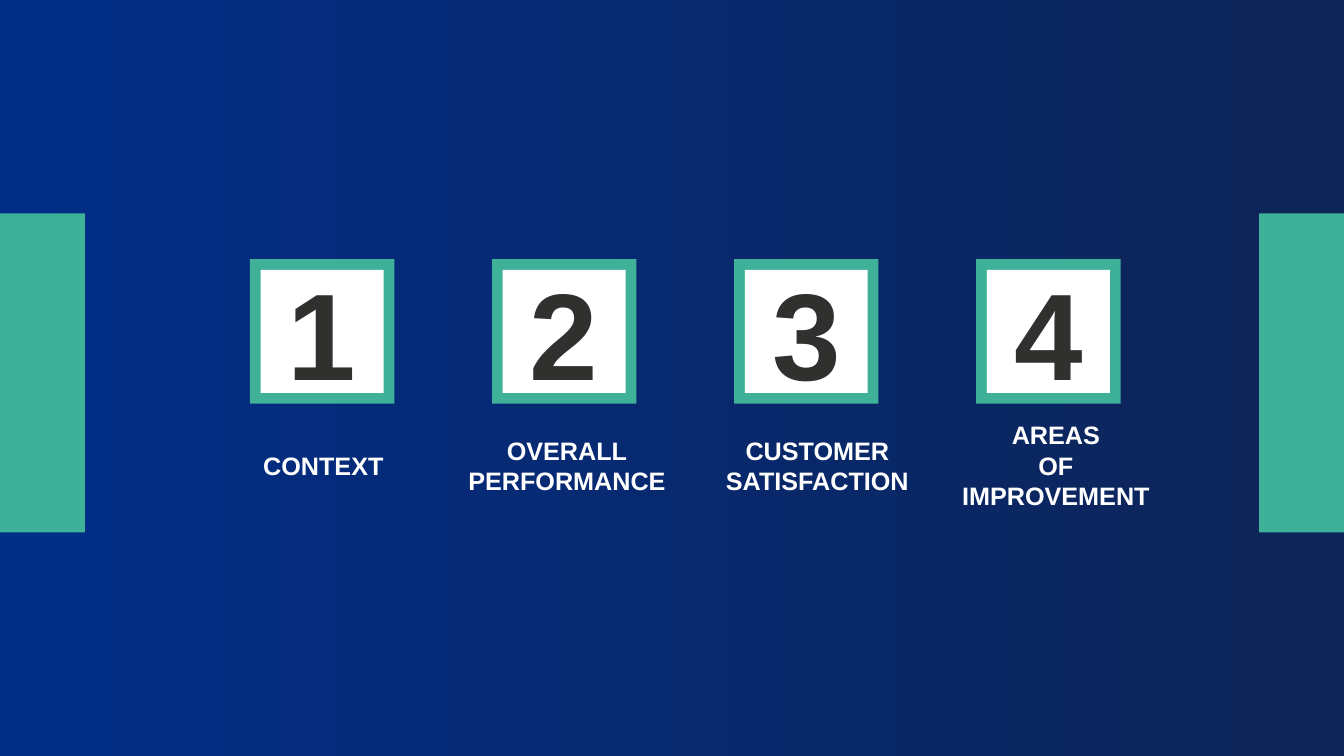
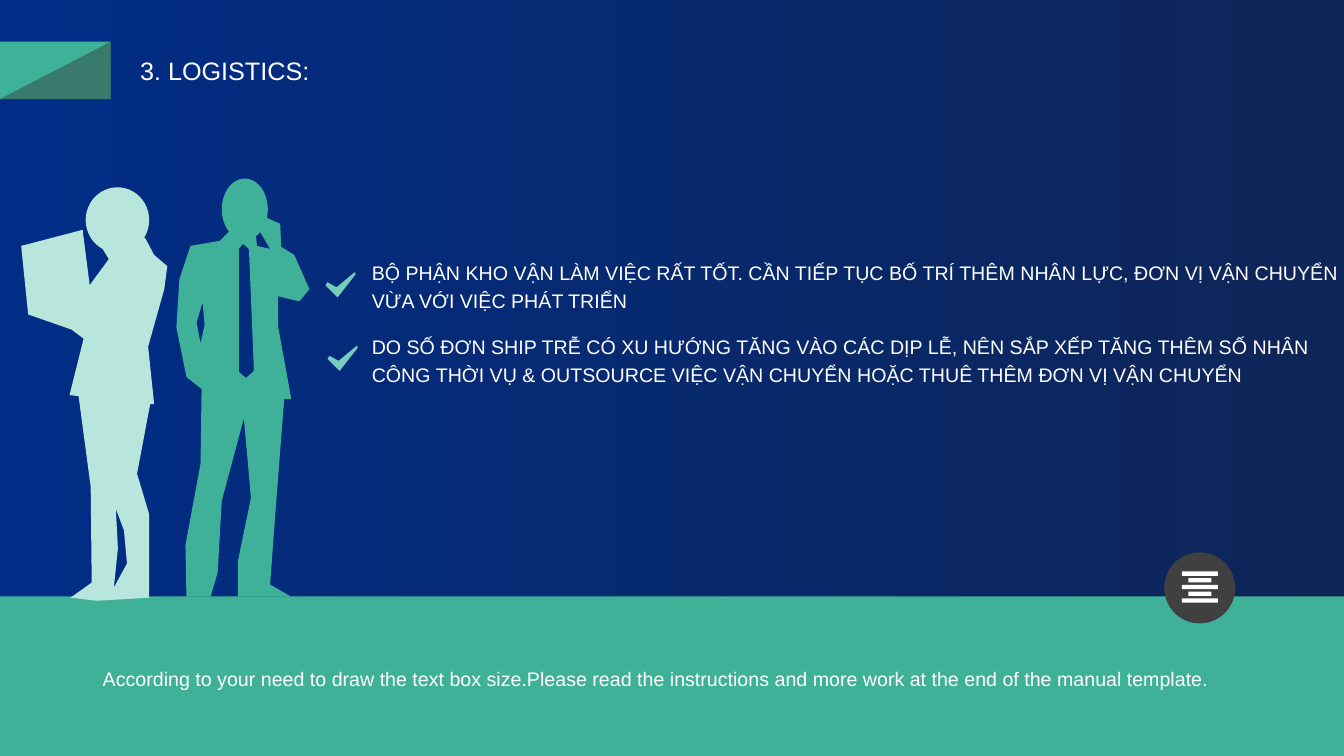
from pptx import Presentation
from pptx.dml.color import RGBColor
from pptx.enum.shapes import MSO_SHAPE as Preset
from pptx.enum.text import MSO_ANCHOR as Anchor, PP_ALIGN as Align
from pptx.oxml.ns import qn
from pptx.util import Cm, Pt
from lxml import etree

SLIDE_WIDTH, SLIDE_HEIGHT = 33.87, 19.05
FONT = "Arial"
GREEN, MINT, PALE = "3EB198", "74CEBB", "B8E6DC"
WHITE, INK, GREY = "FFFFFF", "30302F", "404040"
BLUE, NAVY = "012D86", "0E2557"
OUTLINE_UNIT = Cm(0.0254)

# Each label: horizontal centre in cm, text
CHAPTERS = [
    (8.15, "CONTEXT"),
    (14.29, "OVERALL\vPERFORMANCE"),
    (20.6, "CUSTOMER\vSATISFACTION"),
    (26.61, "AREAS\nOF\nIMPROVEMENT"),
]
NOTES = [
    "BỘ PHẬN KHO VẬN LÀM VIỆC RẤT TỐT. CẦN TIẾP TỤC BỐ TRÍ THÊM NHÂN LỰC, "
    "ĐƠN VỊ VẬN CHUYỂN VỪA VỚI VIỆC PHÁT TRIỂN",
    "DO SỐ ĐƠN SHIP TRỄ CÓ XU HƯỚNG TĂNG VÀO CÁC DỊP LỄ, NÊN SẮP XẾP TĂNG THÊM "
    "SỐ NHÂN CÔNG THỜI VỤ & OUTSOURCE VIỆC VẬN CHUYỂN HOẶC THUÊ THÊM ĐƠN VỊ VẬN CHUYỂN",
]
FOOTER = ("According to your need to draw the text box size.Please read the "
          "instructions and more work at the end of the manual template.")

# Contours in outline units: the body first, then the gaps in it
WOMAN = [
    [(95, 236), (108, 257), (89, 283), (82, 228), (21, 244), (28, 312), (71, 327),
     (83, 336), (69, 392), (78, 393), (90, 483), (91, 578), (70, 593), (96, 596),
     (148, 593), (148, 510), (136, 470), (149, 401), (153, 401), (147, 344),
     (163, 287), (166, 264), (153, 253), (144, 236)],
    [(113, 583), (117, 544), (115, 505), (123, 526), (126, 559)],
]
MAN = [
    [(229, 228), (218, 239), (189, 244), (178, 277), (175, 325), (185, 374),
     (200, 386), (199, 460), (184, 541), (185, 592), (209, 592), (216, 568),
     (220, 497), (242, 415), (249, 494), (236, 557), (236, 592), (289, 592),
     (268, 580), (274, 499), (282, 396), (289, 396), (276, 324), (276, 294),
     (297, 299), (307, 287), (292, 253), (279, 245), (278, 222), (264, 216),
     (258, 230), (268, 247), (255, 244), (253, 225)],
    [(199, 341), (195, 320), (201, 300), (203, 322)],
    [(244, 375), (237, 369), (237, 247), (241, 242), (247, 247), (252, 368)],
]
CHECK = [[(323, 283), (325, 280), (334, 285), (352, 270), (353, 272), (335, 295)]]


def rgb(color):
    return RGBColor.from_string(color)


def paint(shape, color):
    """Give a shape a plain fill, without line or shadow."""
    shape.shadow.inherit = False
    shape.fill.solid()
    shape.fill.fore_color.rgb = rgb(color)
    shape.line.fill.background()
    return shape


def add_block(slide, left, top, width, height, color, preset=Preset.RECTANGLE):
    shape = slide.shapes.add_shape(preset, Cm(left), Cm(top), Cm(width), Cm(height))
    return paint(shape, color)


def write(shape, text, size, color=WHITE, bold=False, align=Align.LEFT, spacing=None,
          before=None):
    text_frame = shape.text_frame
    text_frame.text = text
    for paragraph in text_frame.paragraphs:
        paragraph.alignment = align
        paragraph.line_spacing = spacing
        paragraph.space_before = before
        for run in paragraph.runs:
            run.font.name = FONT
            run.font.size = Pt(size)
            run.font.bold = bold
            run.font.color.rgb = rgb(color)


def add_text(slide, left, top, width, height, text, size, inset=None, anchor=Anchor.TOP,
             **style):
    box = slide.shapes.add_textbox(Cm(left), Cm(top), Cm(width), Cm(height))
    text_frame = box.text_frame
    text_frame.word_wrap = True
    text_frame.vertical_anchor = anchor
    if inset is not None:
        text_frame.margin_left = text_frame.margin_right = Cm(inset)
        text_frame.margin_top = text_frame.margin_bottom = Cm(inset)
    write(box, text, size, **style)


def add_body(slide, left, top, width, text, align=Align.LEFT):
    add_text(slide, left, top, width, 1.42, text, 14, inset=0, align=align,
             spacing=1.2, before=Pt(2.8))


def add_outline(slide, contours, color, dx=0, dy=0):
    moved = [[(x + dx, y + dy) for x, y in contour] for contour in contours]
    builder = slide.shapes.build_freeform(*moved[0][0], scale=OUTLINE_UNIT)
    builder.add_line_segments(moved[0][1:])
    for gap in moved[1:]:
        builder.move_to(*gap[0])
        builder.add_line_segments(gap[1:])
    paint(builder.convert_to_shape(), color)


def add_figure(slide, contours, color, head):
    add_outline(slide, contours, color)
    add_block(slide, *head, color, Preset.OVAL)


def set_background(master):
    fill = master.background.fill
    fill.gradient()
    fill.gradient_angle = 0
    for stop, color in zip(fill.gradient_stops, (BLUE, NAVY)):
        stop.color.rgb = rgb(color)


def add_title(slide, text):
    flag = 0, 1.05, 2.79, 1.45
    add_block(slide, *flag, GREEN)
    corner = add_block(slide, *flag, INK, Preset.RIGHT_TRIANGLE)
    properties = corner._element.spPr
    properties.find(qn("a:xfrm")).set("flipH", "1")
    color = properties.find(qn("a:solidFill"))[0]
    etree.SubElement(color, qn("a:alpha")).set("val", "42000")
    add_text(slide, 3.28, 1.27, 26.09, 1.02, text, 18)


def add_menu_icon(slide):
    center = 30.24
    add_block(slide, center - 0.9, 13.92, 1.79, 1.79, GREY, Preset.OVAL)
    for row in range(5):
        width = 0.58 if row % 2 else 0.91
        add_block(slide, center - width / 2, 14.4 + 0.17 * row, width, 0.11, WHITE)


def add_footer(slide, text):
    top = 15.03
    add_block(slide, 0, top, SLIDE_WIDTH, SLIDE_HEIGHT - top, GREEN)
    add_body(slide, 2.54, 16.69, 27.99, text, Align.CENTER)


def add_chapter(slide, index, center, label):
    left, top, side, border = 6.3 + 6.1 * index, 6.53, 3.64, 0.27
    add_block(slide, left, top, side, side, GREEN)
    inner = side - 2 * border
    tile = add_block(slide, left + border, top + border, inner, inner, WHITE)
    tile.text_frame.vertical_anchor = Anchor.MIDDLE
    write(tile, str(index + 1), 88, INK, bold=True, align=Align.CENTER)
    add_text(slide, center - 3, 10.42, 6, 2.6, label, 18, anchor=Anchor.MIDDLE,
             bold=True, align=Align.CENTER)


def build_contents(slide):
    width = 2.14
    for left in (0, SLIDE_WIDTH - width):
        add_block(slide, left, 5.38, width, 8.04, GREEN)
    for index, (center, label) in enumerate(CHAPTERS):
        add_chapter(slide, index, center, label)


def build_logistics(slide):
    add_title(slide, "3. LOGISTICS:")
    add_footer(slide, FOOTER)
    add_figure(slide, WOMAN, PALE, head=(2.16, 4.72, 1.6, 1.65))
    add_figure(slide, MAN, GREEN, head=(5.59, 4.5, 1.16, 1.55))
    add_menu_icon(slide)
    for index, note in enumerate(NOTES):
        add_outline(slide, CHECK, MINT, dx=2 * index, dy=73 * index)
        add_body(slide, 9.37, 6.45 + 1.86 * index, 24.5, note)


def main():
    presentation = Presentation()
    presentation.slide_width = Cm(SLIDE_WIDTH)
    presentation.slide_height = Cm(SLIDE_HEIGHT)
    set_background(presentation.slide_master)
    blank = presentation.slide_layouts[6]
    for build in (build_contents, build_logistics):
        build(presentation.slides.add_slide(blank))
    presentation.save("out.pptx")


if __name__ == "__main__":
    main()
